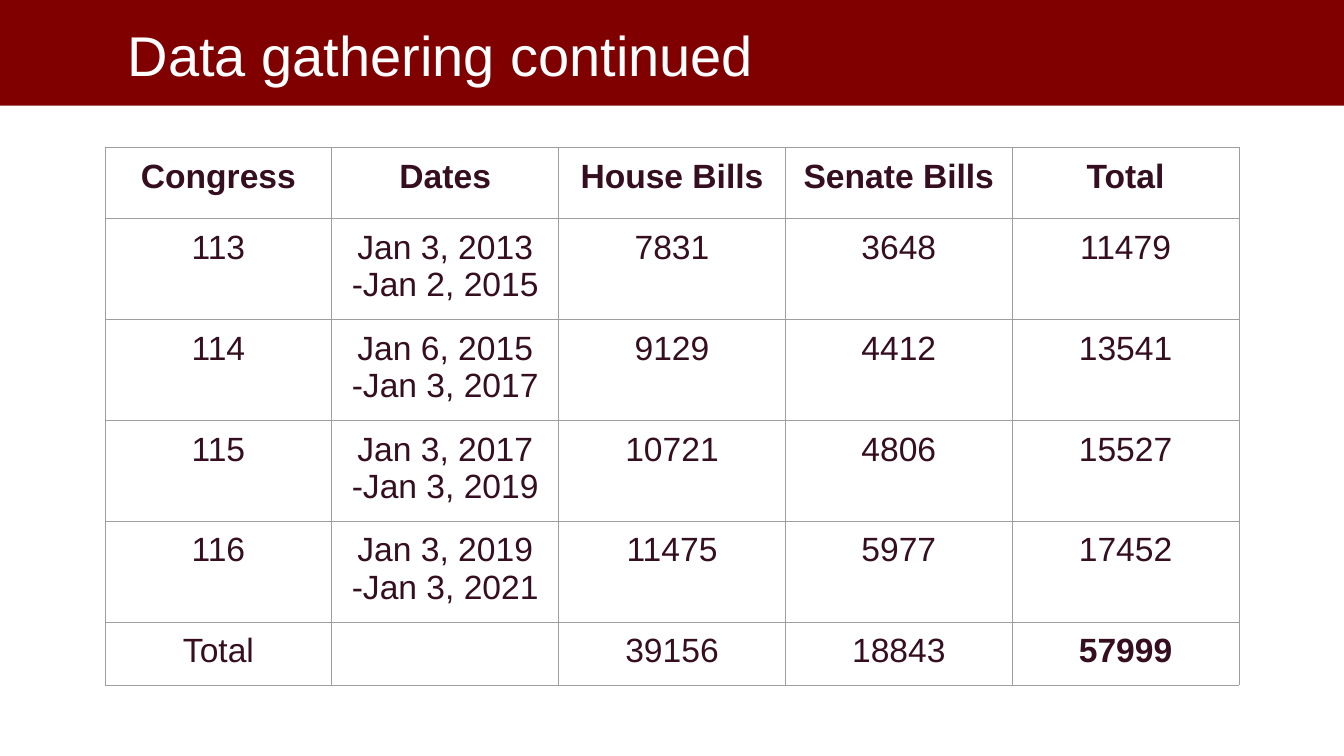
from lxml.etree import SubElement
from pptx import Presentation
from pptx.dml.color import RGBColor
from pptx.enum.shapes import MSO_SHAPE
from pptx.enum.text import MSO_ANCHOR, PP_ALIGN
from pptx.oxml.ns import qn
from pptx.util import Pt

INSET = 7.2
WIDTH = 162
HEIGHTS = [51, 66.24, 66.24, 66.24, 68.4, 44.8]
ROWS = [
    ["Congress", "Dates", "House Bills", "Senate Bills", "Total"],
    ["113", "Jan 3, 2013\n-Jan 2, 2015", "7831", "3648", "11479"],
    ["114", "Jan 6, 2015\n-Jan 3, 2017", "9129", "4412", "13541"],
    ["115", "Jan 3, 2017\n-Jan 3, 2019", "10721", "4806", "15527"],
    ["116", "Jan 3, 2019\n-Jan 3, 2021", "11475", "5977", "17452"],
    ["Total", "", "39156", "18843", "57999"],
]


def paint(target, color):
    """Give a font or fill a solid hex colour."""
    fill = getattr(target, "fill", target)
    fill.solid()
    fill.fore_color.rgb = RGBColor.from_string(color)


def style(frame, size, color, bold=False, align=PP_ALIGN.LEFT):
    """Format every paragraph and run of a text frame."""
    for para in frame.paragraphs:
        para.alignment = align
        for run in para.runs:
            run.font.name = "Arial"
            run.font.size = Pt(size)
            run.font.bold = bold
            paint(run.font, color)


def pad(box):
    """Set equal insets on a cell or text frame."""
    for side in ("left", "right", "top", "bottom"):
        setattr(box, f"margin_{side}", Pt(INSET))


def add_band(slide):
    """Draw the dark red band across the top."""
    band = slide.shapes.add_shape(
        MSO_SHAPE.RECTANGLE, Pt(0), Pt(-0.72), Pt(960), Pt(76.2))
    band.shadow.inherit = False
    paint(band, "800000")
    band.line.fill.background()


def add_title(slide, text):
    """Write the slide title over the band."""
    box = slide.shapes.add_textbox(Pt(84.24), Pt(0), Pt(828), Pt(77.76))
    frame = box.text_frame
    frame.word_wrap = True
    frame.vertical_anchor = MSO_ANCHOR.MIDDLE
    pad(frame)
    frame.text = text
    style(frame, 40, "FFFFFF")


def add_edges(cell, color):
    """Draw thin lines on the four sides of a cell."""
    props = cell._tc.get_or_add_tcPr()
    for side in "LRTB":
        line = SubElement(props, qn(f"a:ln{side}"), w=str(Pt(0.75)))
        fill = SubElement(line, qn("a:solidFill"))
        SubElement(fill, qn("a:srgbClr"), val=color)


def add_grid(slide, rows):
    """Build the table of bills for each Congress."""
    count = len(rows[0])
    frame = slide.shapes.add_table(
        len(rows), count, Pt(75), Pt(105.4),
        Pt(WIDTH * count), Pt(sum(HEIGHTS)))
    table = frame.table
    table.first_row = table.horz_banding = False
    for col in table.columns:
        col.width = Pt(WIDTH)
    for row, height in zip(table.rows, HEIGHTS):
        row.height = Pt(height)
    last = (len(rows) - 1, count - 1)
    for i, row in enumerate(rows):
        for j, text in enumerate(row):
            cell = table.cell(i, j)
            pad(cell)
            add_edges(cell, "9E9E9E")
            cell.fill.background()
            cell.text_frame.text = text
            bold = i == 0 or (i, j) == last
            style(cell.text_frame, 24, "350E20", bold, PP_ALIGN.CENTER)


def main():
    """Build and save the slide."""
    deck = Presentation()
    deck.slide_width, deck.slide_height = Pt(960), Pt(540)
    slide = deck.slides.add_slide(deck.slide_layouts[6])
    paint(slide.background, "FFFFFF")
    add_band(slide)
    add_title(slide, "Data gathering continued")
    add_grid(slide, ROWS)
    deck.save("out.pptx")


if __name__ == "__main__":
    main()
